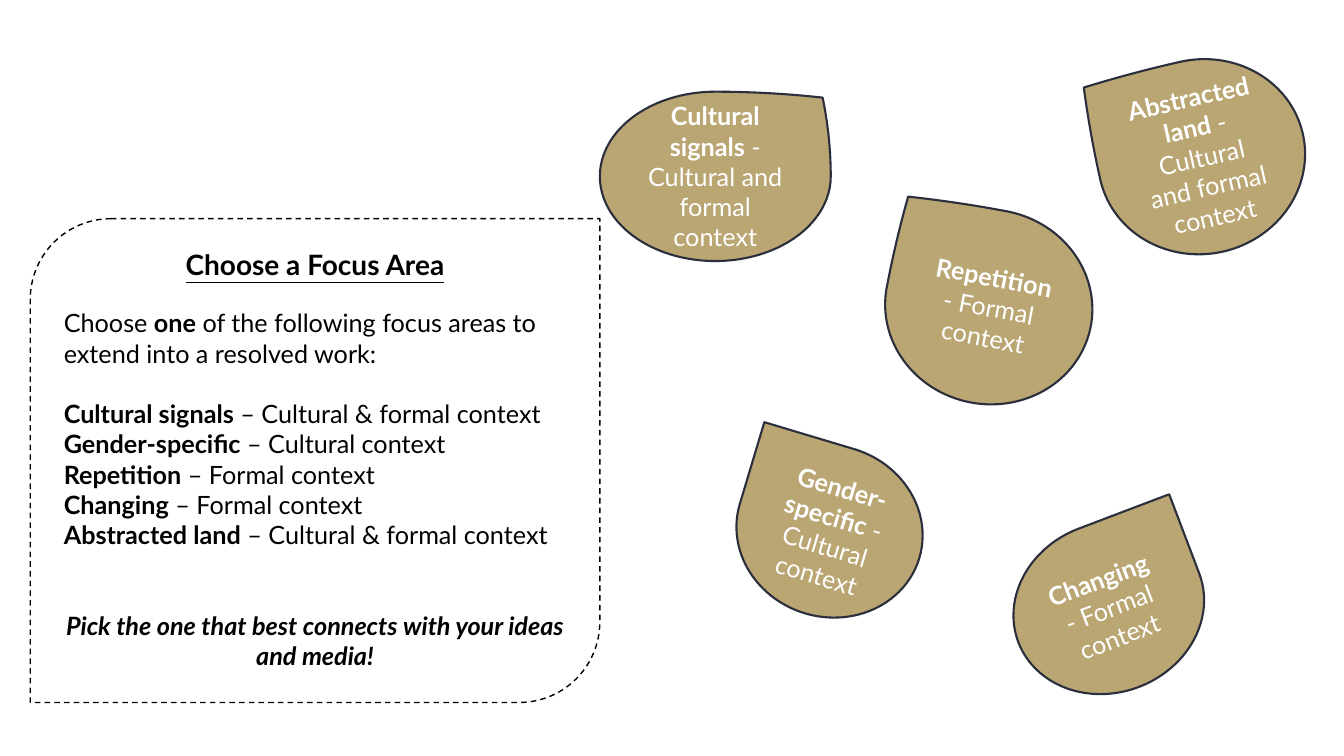
from pptx import Presentation
from pptx import util as u
from pptx.dml import color
from pptx.enum import dml, shapes, text

hues = {"ink": "000000", "sand": "BAA673", "edge": "2B2E3D", "pale": "FFFFFF"}

deck = Presentation()
deck.slide_width, deck.slide_height = u.Inches(13.33), u.Inches(7.5)
col, row = deck.slide_width / 100, deck.slide_height / 100
slide = deck.slides.add_slide(deck.slide_layouts[6])


def draw(kind, box, edge, thick):
    x, y, w, h = box
    shape = slide.shapes.add_shape(kind, int(x * col), int(y * row), int(w * col), int(h * row))
    shape.shadow.inherit = False
    shape.line.color.rgb = color.RGBColor.from_string(hues[edge])
    shape.line.width = u.Pt(thick)
    shape.text_frame.word_wrap = True
    return shape


def write(para, parts, hue, align, gap=0, **extra):
    para.alignment = align
    if gap:
        para.space_before = u.Pt(gap)
    for words, bold in parts:
        run = para.add_run()
        run.text = words
        style = {"name": "Lato", "size": u.Pt(18), "bold": bold} | extra
        for key, value in style.items():
            setattr(run.font, key, value)
        run.font.color.rgb = color.RGBColor.from_string(hues[hue])


mid, left = text.PP_ALIGN.CENTER, text.PP_ALIGN.LEFT

panel = draw(shapes.MSO_SHAPE.ROUND_2_DIAG_RECTANGLE, (2.25, 28.93, 42.38, 64), "ink", 1)
panel.fill.background()
panel.line.dash_style = dml.MSO_LINE.DASH
frame = panel.text_frame
frame.vertical_anchor = text.MSO_ANCHOR.TOP

write(frame.paragraphs[0], [("Choose a Focus Area", True)], "ink", mid,
      size=u.Pt(20), underline=True)
intro = [("Choose ", False), ("one", True),
         (" of the following focus areas to extend into a resolved work:", False)]
write(frame.add_paragraph(), intro, "ink", left, 19.2)

areas = [
    ("Cultural signals", "Cultural & formal context"),
    ("Gender-specific", "Cultural context"),
    ("Repetition", "Formal context"),
    ("Changing", "Formal context"),
    ("Abstracted land", "Cultural & formal context"),
]
for i, (name, scope) in enumerate(areas):
    parts = [(name, True), (f" – {scope}", False)]
    write(frame.add_paragraph(), parts, "ink", left, 0 if i else 21.6)

hint = "Pick the one that best connects with your ideas and media!"
write(frame.add_paragraph(), [(hint, True)], "ink", mid, 43.2, italic=True)

drops = [
    ((44.63, 12.13, 17.18, 22.4), 0, False, 0.93),
    ((54.75, 58.93, 13.95, 22.67), 16.7, True, 1),
    ((65.85, 27.73, 15.45, 25.73), 10.7, True, 0.96),
    ((75.3, 69.2, 14.4, 22.4), 339.2, False, 1),
    ((81.68, 7.87, 15.45, 25.73), 347.3, True, 0.96),
]
for (name, scope), (box, turn, flip, tip) in zip(areas, drops):
    drop = draw(shapes.MSO_SHAPE.TEAR, box, "edge", 1.5)
    drop.fill.solid()
    drop.fill.fore_color.rgb = color.RGBColor.from_string(hues["sand"])
    drop.adjustments[0] = tip
    drop.rotation = turn
    if flip:
        drop._element.spPr.xfrm.set("flipH", "1")
    drop.text_frame.vertical_anchor = text.MSO_ANCHOR.MIDDLE
    parts = [(name, True), (f" - {scope.replace('&', 'and')}", False)]
    write(drop.text_frame.paragraphs[0], parts, "pale", mid)

deck.save("out.pptx")
